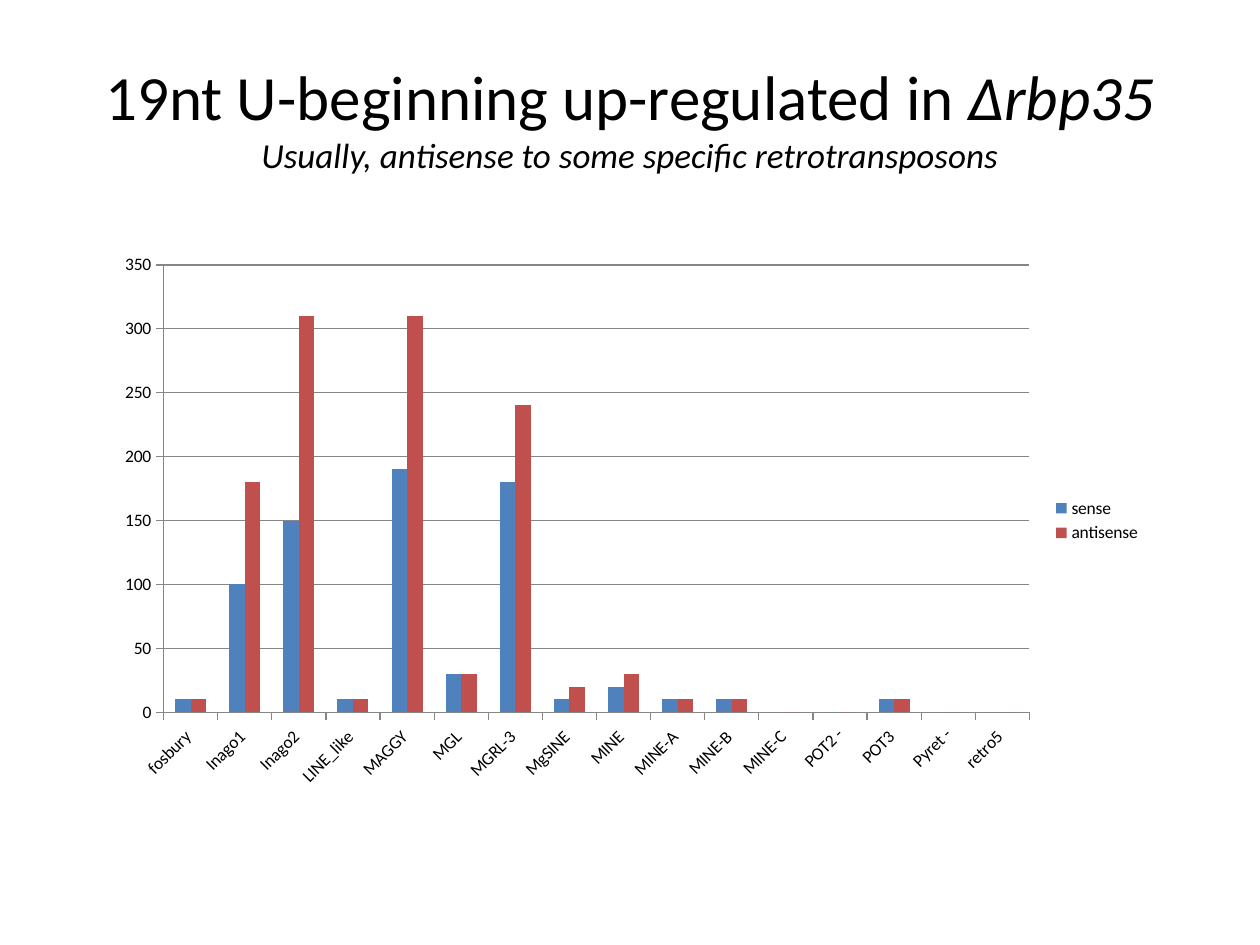
from pptx import Presentation
from pptx.chart.data import CategoryChartData
from pptx.dml.color import RGBColor
from pptx.enum.chart import XL_CHART_TYPE, XL_LEGEND_POSITION, XL_TICK_MARK
from pptx.enum.text import MSO_ANCHOR, PP_ALIGN
from pptx.util import Cm, Pt

COLUMNS = XL_CHART_TYPE.COLUMN_CLUSTERED
LEGEND_RIGHT = XL_LEGEND_POSITION.RIGHT
TICK_OUT = XL_TICK_MARK.OUTSIDE
MIDDLE = MSO_ANCHOR.MIDDLE
CENTER = PP_ALIGN.CENTER

BLACK = RGBColor(0x00, 0x00, 0x00)
GREY = RGBColor(0x86, 0x86, 0x86)
BLUE = RGBColor(0x4F, 0x81, 0xBD)
RED = RGBColor(0xC0, 0x50, 0x4D)
FONT = "Calibri"

RETROTRANSPOSONS = [
    "fosbury ", "Inago1 ", "Inago2 ", "LINE_like ", "MAGGY ", "MGL ", "MGRL-3 ", "MgSINE ",
    "MINE ", "MINE-A ", "MINE-B ", "MINE-C ", "POT2 -", "POT3 ", "Pyret -", "retro5 ",
]
SERIES = [
    ("sense", BLUE, [10, 100, 150, 10, 190, 30, 180, 10, 20, 10, 10, 0, 0, 10, 0, 0]),
    ("antisense", RED, [10, 180, 310, 10, 310, 30, 240, 20, 30, 10, 10, 0, 0, 10, 0, 0]),
]


def add_text(p, text, size=36, italic=False, color=BLACK):
    """Append a formatted run to a paragraph."""
    r = p.add_run()
    r.text = text
    r.font.name = FONT
    r.font.size = Pt(size)
    r.font.italic = italic
    r.font.color.rgb = color


def fill_title(s, left, top, width, height):
    """Place the title and its subtitle line in the title placeholder."""
    sp = s.shapes.title
    sp.left, sp.top, sp.width, sp.height = left, top, width, height
    tf = sp.text_frame
    tf.word_wrap = True
    tf.vertical_anchor = MIDDLE
    p = tf.paragraphs[0]
    p.alignment = CENTER
    add_text(p, "19nt U-beginning up-regulated in ")
    add_text(p, "∆rbp35", italic=True)
    p.add_line_break()
    add_text(p, "Usually, antisense to some specific retrotransposons", size=20, italic=True)


def format_axis(axis):
    """Give an axis outward ticks and a thin grey line."""
    axis.major_tick_mark = TICK_OUT
    axis.format.line.color.rgb = GREY
    axis.format.line.width = Pt(0.75)
    axis.tick_labels.font.size = Pt(10)


def add_column_chart(s, left, top, width, height):
    """Add the clustered column chart of sense and antisense counts."""
    data = CategoryChartData()
    data.categories = RETROTRANSPOSONS
    for name, _, values in SERIES:
        data.add_series(name, values)
    chart = s.shapes.add_chart(COLUMNS, left, top, width, height, data).chart
    chart.has_title = False
    chart.font.name = FONT
    chart.font.size = Pt(10)
    chart.font.color.rgb = BLACK
    chart.has_legend = True
    chart.legend.position = LEGEND_RIGHT
    chart.legend.include_in_layout = False

    plot = chart.plots[0]
    plot.vary_by_categories = False
    plot.gap_width = 150
    plot.overlap = 0
    for series, (_, color, _) in zip(plot.series, SERIES):
        series.format.fill.solid()
        series.format.fill.fore_color.rgb = color

    format_axis(chart.category_axis)
    format_axis(chart.value_axis)
    chart.value_axis.minimum_scale = 0
    chart.value_axis.maximum_scale = 350
    chart.value_axis.major_unit = 50
    chart.value_axis.has_major_gridlines = True
    grid = chart.value_axis.major_gridlines.format.line
    grid.color.rgb = GREY
    grid.width = Pt(0.75)
    for body in chart.element.xpath(".//c:catAx/c:txPr/a:bodyPr"):
        body.set("rot", "-2700000")


def main():
    """Build and save the slide."""
    prs = Presentation()
    prs.slide_width, prs.slide_height = Cm(25.4), Cm(19.05)
    s = prs.slides.add_slide(prs.slide_layouts[5])
    fill_title(s, Cm(1.27), Cm(0.76), Cm(22.86), Cm(3.18))
    add_column_chart(s, Cm(2.1), Cm(4.92), Cm(21.16), Cm(11.15))
    prs.save("out.pptx")


if __name__ == "__main__":
    main()
